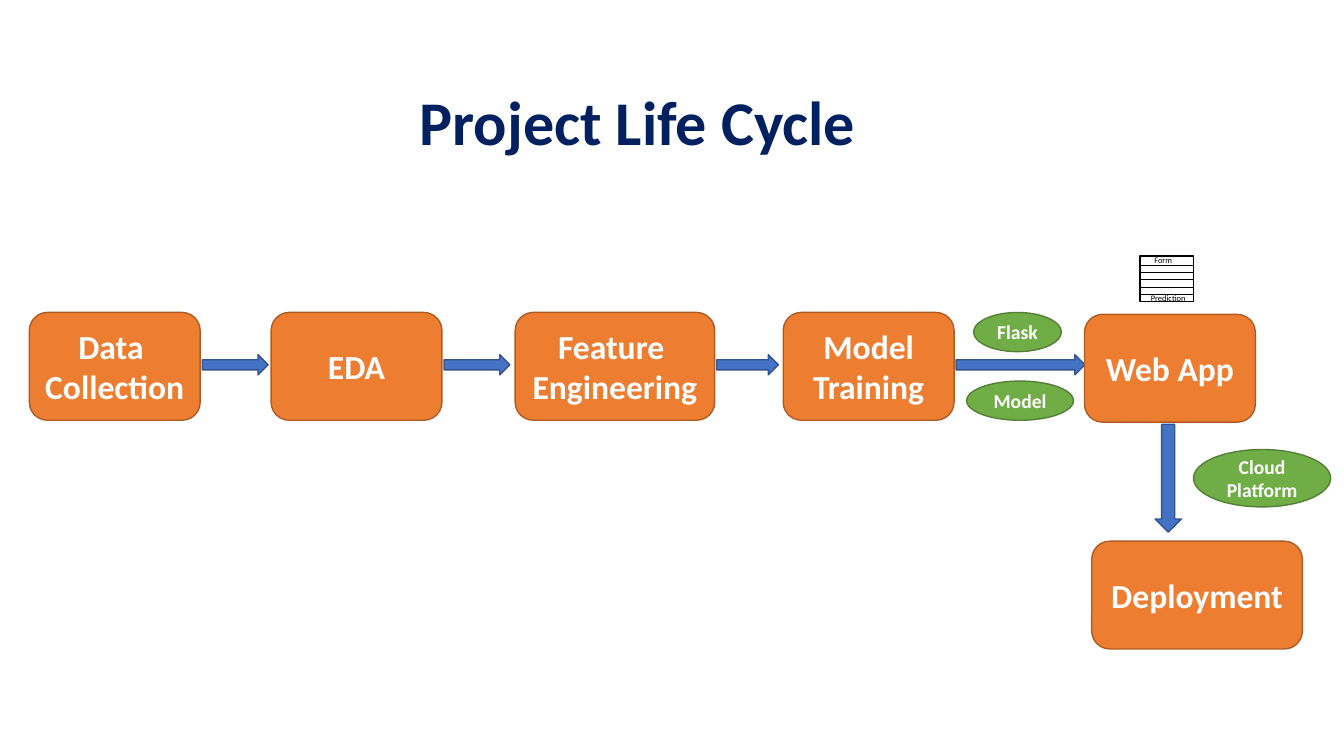
from pptx import Presentation
from pptx.dml.color import RGBColor
from pptx.enum.shapes import MSO_CONNECTOR, MSO_SHAPE
from pptx.enum.text import MSO_ANCHOR, PP_ALIGN
from pptx.oxml.ns import qn
from pptx.util import Pt
from lxml import etree

ROUNDED, OVAL, RECTANGLE = MSO_SHAPE.ROUNDED_RECTANGLE, MSO_SHAPE.OVAL, MSO_SHAPE.RECTANGLE
RIGHT_ARROW, DOWN_ARROW = MSO_SHAPE.RIGHT_ARROW, MSO_SHAPE.DOWN_ARROW
STRAIGHT = MSO_CONNECTOR.STRAIGHT
MIDDLE, CENTER = MSO_ANCHOR.MIDDLE, PP_ALIGN.CENTER

NAVY = RGBColor(0x00, 0x20, 0x60)
WHITE = RGBColor(0xFF, 0xFF, 0xFF)
BLACK = RGBColor(0x00, 0x00, 0x00)
ORANGE, ORANGE_EDGE = RGBColor(0xED, 0x7D, 0x31), RGBColor(0xAF, 0x5C, 0x24)
BLUE, BLUE_EDGE = RGBColor(0x44, 0x72, 0xC4), RGBColor(0x32, 0x54, 0x91)
GREEN, GREEN_EDGE = RGBColor(0x70, 0xAD, 0x47), RGBColor(0x53, 0x80, 0x35)

FONT = "Calibri"
STEP_HEIGHT = 77
ARROW_GAP = 1.5
ARROW_THICKNESS = 14.4

# Label, left, top, width, length of the arrow to the next step
STEPS = [
    ("Data \nCollection", 21, 223.2, 122, 47),
    ("EDA", 193.7, 223.2, 122, 47),
    ("Feature \nEngineering", 368, 223.2, 142.5, 44),
    ("Model Training", 559.5, 223.2, 122, 92),
    ("Web App", 774.7, 224.6, 122, None),
    ("Deployment", 779.8, 386.6, 150.5, None),
]
TOOLS = [
    ("Cloud Platform", 852.5, 321.1, 98, 41),
    ("Flask", 695.5, 223.2, 62.6, 28),
    ("Model", 690.5, 272.2, 76.3, 28),
]


def points(box):
    return [Pt(value) for value in box]


def write_text(shape, text, size, color, bold=True):
    frame = shape.text_frame
    frame.word_wrap = True
    frame.vertical_anchor = MIDDLE
    frame.margin_left = frame.margin_right = 0
    frame.margin_top = frame.margin_bottom = 0
    frame.text = text
    for paragraph in frame.paragraphs:
        paragraph.alignment = CENTER
        for run in paragraph.runs:
            run.font.name = FONT
            run.font.size = Pt(size)
            run.font.bold = bold
            run.font.color.rgb = color


def add_text(slide, box, text, size, color, bold=True):
    text_box = slide.shapes.add_textbox(*points(box))
    write_text(text_box, text, size, color, bold)
    return text_box


def add_block(slide, kind, box, fill, edge):
    shape = slide.shapes.add_shape(kind, *points(box))
    shape.shadow.inherit = False
    shape.fill.solid()
    shape.fill.fore_color.rgb = fill
    shape.line.color.rgb = edge
    shape.line.width = Pt(1)
    return shape


def add_title(slide, box):
    title = add_text(slide, box, "Project Life Cycle", 44.4, NAVY)
    title.text_frame.paragraphs[0].line_spacing = 0.8


def add_step(slide, box, label, arrow_length):
    """Draw a step and, if it has one, the arrow on its right."""
    left, top, width, _ = box
    step = add_block(slide, ROUNDED, box, ORANGE, ORANGE_EDGE)
    write_text(step, label, 24, WHITE)
    if arrow_length:
        arrow_box = (left + width + ARROW_GAP, top + 30.2, arrow_length, ARROW_THICKNESS)
        add_block(slide, RIGHT_ARROW, arrow_box, BLUE, BLUE_EDGE)


def add_tool(slide, box, label):
    tool = add_block(slide, OVAL, box, GREEN, GREEN_EDGE)
    write_text(tool, label, 14, WHITE)


def add_form(slide, box):
    """Draw the small ruled form above the web app."""
    left, top, width, height = box
    add_block(slide, RECTANGLE, box, WHITE, BLACK)
    header, row = 6.5, 5.2
    for index in range(5):
        y = top + header + index * row
        rule = slide.shapes.add_connector(STRAIGHT, *points((left, y, left + width, y)))
        rule.line.color.rgb = BLACK
        rule.line.width = Pt(0.5)
        etree.SubElement(rule.element.spPr, qn("a:effectLst"))
    add_text(slide, (left + 2.9, top, 27.4, header), "Form", 6, BLACK, False)
    add_text(slide, (left, top + height - row, 40.3, row), "Prediction", 6, BLACK, False)


def main():
    presentation = Presentation()
    presentation.slide_width, presentation.slide_height = Pt(960), Pt(540)
    slide = presentation.slides.add_slide(presentation.slide_layouts[6])
    add_title(slide, (277.2, 64.1, 356.4, 54))
    for label, left, top, width, arrow_length in STEPS:
        add_step(slide, (left, top, width, STEP_HEIGHT), label, arrow_length)
    add_block(slide, DOWN_ARROW, (825.1, 303.1, 18.7, 77), BLUE, BLUE_EDGE)
    for label, *box in TOOLS:
        add_tool(slide, box, label)
    add_form(slide, (814.3, 182.9, 38.2, 32.4))
    presentation.save("out.pptx")


if __name__ == "__main__":
    main()
